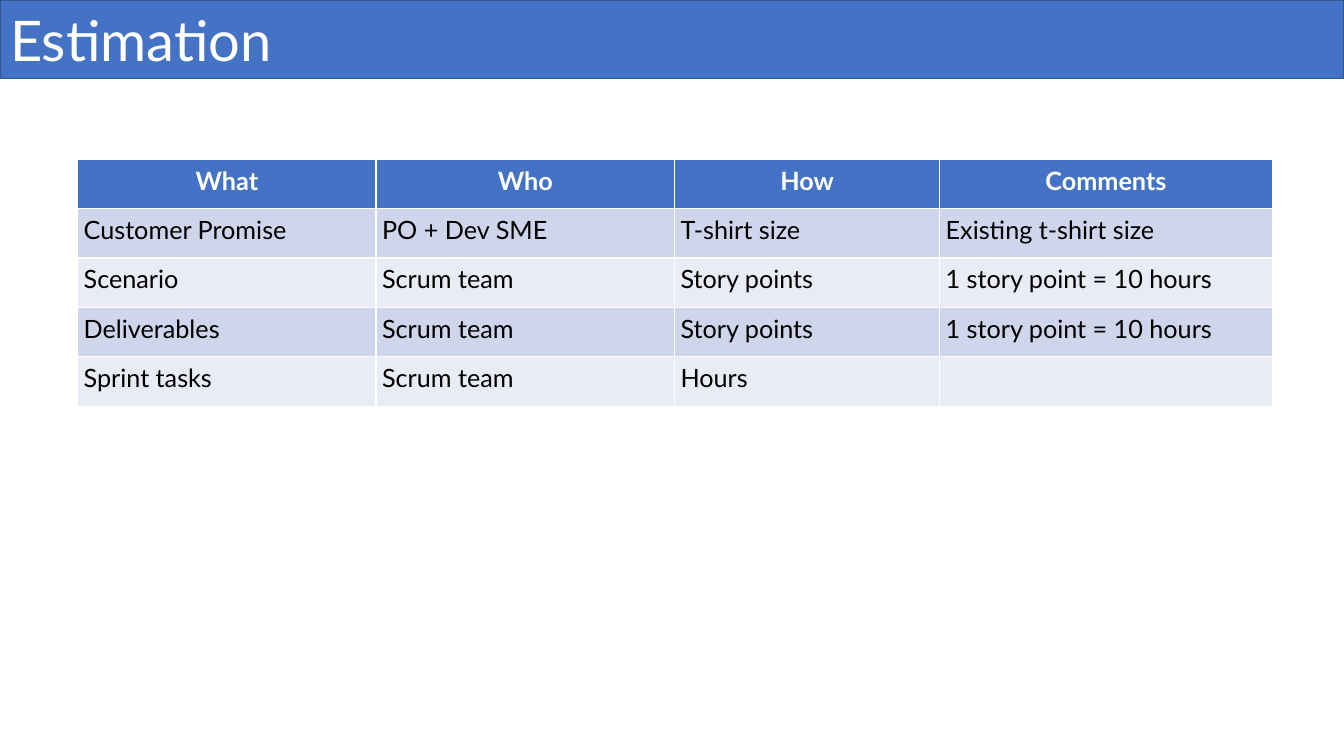
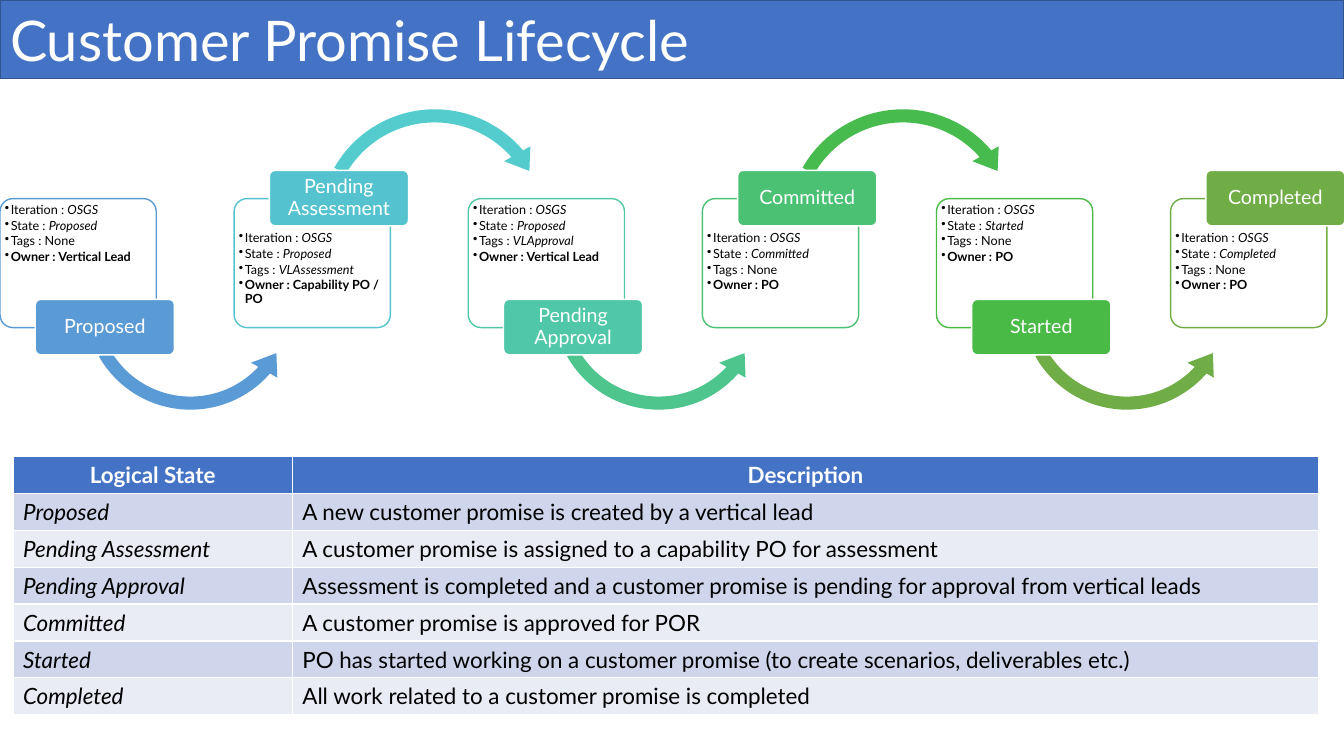
"""Build two slides on estimation and the customer promise lifecycle."""
from lxml.etree import SubElement
from pptx import Presentation
from pptx.dml.color import RGBColor as RGB
from pptx.enum.shapes import MSO_SHAPE as SHAPE
from pptx.enum.text import MSO_ANCHOR as ANCHOR, MSO_AUTO_SIZE as FIT, PP_ALIGN as ALIGN
from pptx.oxml.ns import qn
from pptx.util import Inches, Pt

FONT = "Lato"
HUE = {
    "head": "4472C4", "edge": "325491", "white": "FFFFFF", "black": "000000",
    "odd": "CFD5EA", "even": "E9EBF5",
    "blue": "5B9BD5", "cyan": "55C3CF", "teal": "50C8A7",
    "mint": "4BC174", "green": "4ABA46", "olive": "70AD47",
    "aqua": "54CCCD", "jade": "4DC58D", "leaf": "48BB4F",
}


def style(par, size, hue, bold=False, slant=()):
    """Format every run of a paragraph; slant lists the italic run numbers."""
    for n, run in enumerate(par.runs):
        font = run.font
        font.name, font.size, font.bold = FONT, Pt(size), bold
        font.italic = n in slant
        font.color.rgb = RGB.from_string(HUE[hue])


def grid(slide, rows, left, top, widths, high, size, pad=None, slant=()):
    """Add a banded table; slant lists the italic columns."""
    frame = slide.shapes.add_table(len(rows), len(widths), Inches(left), Inches(top),
                                   Inches(sum(widths)), Inches(high * len(rows)))
    table = frame.table
    for col, width in zip(table.columns, widths):
        col.width = Inches(width)
    for r, row in enumerate(rows):
        table.rows[r].height = Inches(high)
        band = "head" if r == 0 else "odd" if r % 2 else "even"
        for c, text in enumerate(row):
            cell = table.cell(r, c)
            cell.text = text
            cell.fill.solid()
            cell.fill.fore_color.rgb = RGB.from_string(HUE[band])
            if pad:
                cell.margin_left = cell.margin_right = Inches(pad)
                cell.margin_top = cell.margin_bottom = Inches(pad)
            par = cell.text_frame.paragraphs[0]
            if r == 0:
                par.alignment = ALIGN.CENTER
                style(par, size, "white", bold=True)
            else:
                style(par, size, "black", slant=(0,) if c in slant else ())


deck = Presentation()
deck.slide_width, deck.slide_height = Inches(13.33), Inches(7.5)

slides = []
for name in ("Estimation", "Customer Promise Lifecycle"):
    slide = deck.slides.add_slide(deck.slide_layouts[5])
    title = slide.shapes.title
    title.left, title.top = 0, 0
    title.width, title.height = deck.slide_width, Inches(0.78)
    title.fill.solid()
    title.fill.fore_color.rgb = RGB.from_string(HUE["head"])
    title.line.color.rgb = RGB.from_string(HUE["edge"])
    title.line.width = Pt(1)
    frame = title.text_frame
    frame.text = name
    frame.auto_size = FIT.NONE
    frame.vertical_anchor = ANCHOR.MIDDLE
    frame.paragraphs[0].alignment = ALIGN.LEFT
    style(frame.paragraphs[0], 40, "white")
    slides.append(slide)
first, second = slides

plan = [
    ("What", "Who", "How", "Comments"),
    ("Customer Promise", "PO + Dev SME", "T-shirt size", "Existing t-shirt size"),
    ("Scenario", "Scrum team", "Story points", "1 story point = 10 hours"),
    ("Deliverables", "Scrum team", "Story points", "1 story point = 10 hours"),
    ("Sprint tasks", "Scrum team", "Hours", ""),
]
grid(first, plan, 0.77, 1.58, (2.96, 2.96, 2.63, 3.3), 0.49, 18, pad=0.06)

steps = [
    ("Proposed", "Proposed", "None", "Vertical Lead", "blue", "blue"),
    ("Pending Assessment", "Proposed", "VLAssessment", "Capability PO / PO", "cyan", "aqua"),
    ("Pending Approval", "Proposed", "VLApproval", "Vertical Lead", "teal", "jade"),
    ("Committed", "Committed", "None", "PO", "mint", "leaf"),
    ("Started", "Started", "None", "PO", "green", "olive"),
    ("Completed", "Completed", "None", "PO", "olive", None),
]
gap = 11.61 / (len(steps) - 1)
for i, (name, state, tags, owner, hue, bend) in enumerate(steps):
    x, high = i * gap, i % 2 == 1

    card = second.shapes.add_shape(SHAPE.ROUNDED_RECTANGLE, Inches(x), Inches(1.97),
                                   Inches(1.55), Inches(1.28))
    card.shadow.inherit = False
    card.adjustments[0] = 0.1
    card.fill.solid()
    card.fill.fore_color.rgb = RGB.from_string(HUE["white"])
    tint = card._element.spPr.find(qn("a:solidFill"))[0]
    SubElement(tint, qn("a:alpha"), val="90000")
    card.line.color.rgb = RGB.from_string(HUE[hue])
    card.line.width = Pt(1)
    frame = card.text_frame
    frame.word_wrap = True
    frame.vertical_anchor = ANCHOR.TOP
    frame.margin_left = frame.margin_right = frame.margin_bottom = Inches(0.01)
    frame.margin_top = Inches(0.29 if high else 0.01)
    facts = (("Iteration : ", "OSGS"), ("State : ", state),
             ("Tags : None",) if tags == "None" else ("Tags : ", tags),
             ("Owner : " + owner,))
    for n, parts in enumerate(facts):
        par = frame.add_paragraph() if n else frame.paragraphs[0]
        par.alignment = ALIGN.LEFT
        par.line_spacing, par.space_after = 0.9, Pt(1.5)
        prop = par._p.get_or_add_pPr()
        prop.set("marL", str(Inches(0.06)))
        prop.set("indent", str(-Inches(0.06)))
        SubElement(prop, qn("a:buChar"), char="•")
        for part in parts:
            par.add_run().text = part
        style(par, 9, "black", bold=n == 3, slant=(1,))

    if bend:
        size = 2.46 if high else 2.26
        kind = SHAPE.CIRCULAR_ARROW if high else SHAPE.LEFT_CIRCULAR_ARROW
        turn = (6.65, 191.59, 125.76) if high else (7.32, 25.07, 90.24)
        arrow = second.shapes.add_shape(kind, Inches(x + 0.76), Inches(1 if high else 1.89),
                                        Inches(size), Inches(size))
        arrow.shadow.inherit = False
        for n, value in enumerate((0.13 / size, *turn, 0.15 / size)):
            arrow.adjustments[n] = value
        arrow.fill.solid()
        arrow.fill.fore_color.rgb = RGB.from_string(HUE[bend])
        arrow.line.fill.background()

    label = second.shapes.add_shape(SHAPE.ROUNDED_RECTANGLE, Inches(x + 0.35),
                                    Inches(1.69 if high else 2.97), Inches(1.38), Inches(0.55))
    label.shadow.inherit = False
    label.adjustments[0] = 0.1
    label.fill.solid()
    label.fill.fore_color.rgb = RGB.from_string(HUE[hue])
    label.line.color.rgb = RGB.from_string(HUE["white"])
    label.line.width = Pt(1)
    frame = label.text_frame
    frame.text = name
    frame.word_wrap = True
    frame.vertical_anchor = ANCHOR.MIDDLE
    frame.margin_left = frame.margin_right = Inches(0.03)
    frame.margin_top = frame.margin_bottom = Inches(0.02)
    par = frame.paragraphs[0]
    par.alignment, par.line_spacing = ALIGN.CENTER, 0.9
    style(par, 14, "white")

notes = [
    "A new customer promise is created by a vertical lead",
    "A customer promise is assigned to a capability PO for assessment",
    "Assessment is completed and a customer promise is pending for approval from vertical leads",
    "A customer promise is approved for POR",
    "PO has started working on a customer promise (to create scenarios, deliverables etc.)",
    "All work related to a customer promise is completed",
]
states = [("Logical State", "Description")]
states += [(step[0], note) for step, note in zip(steps, notes)]
grid(second, states, 0.13, 4.53, (2.77, 10.18), 0.36, 16, slant=(0,))

deck.save("out.pptx")
